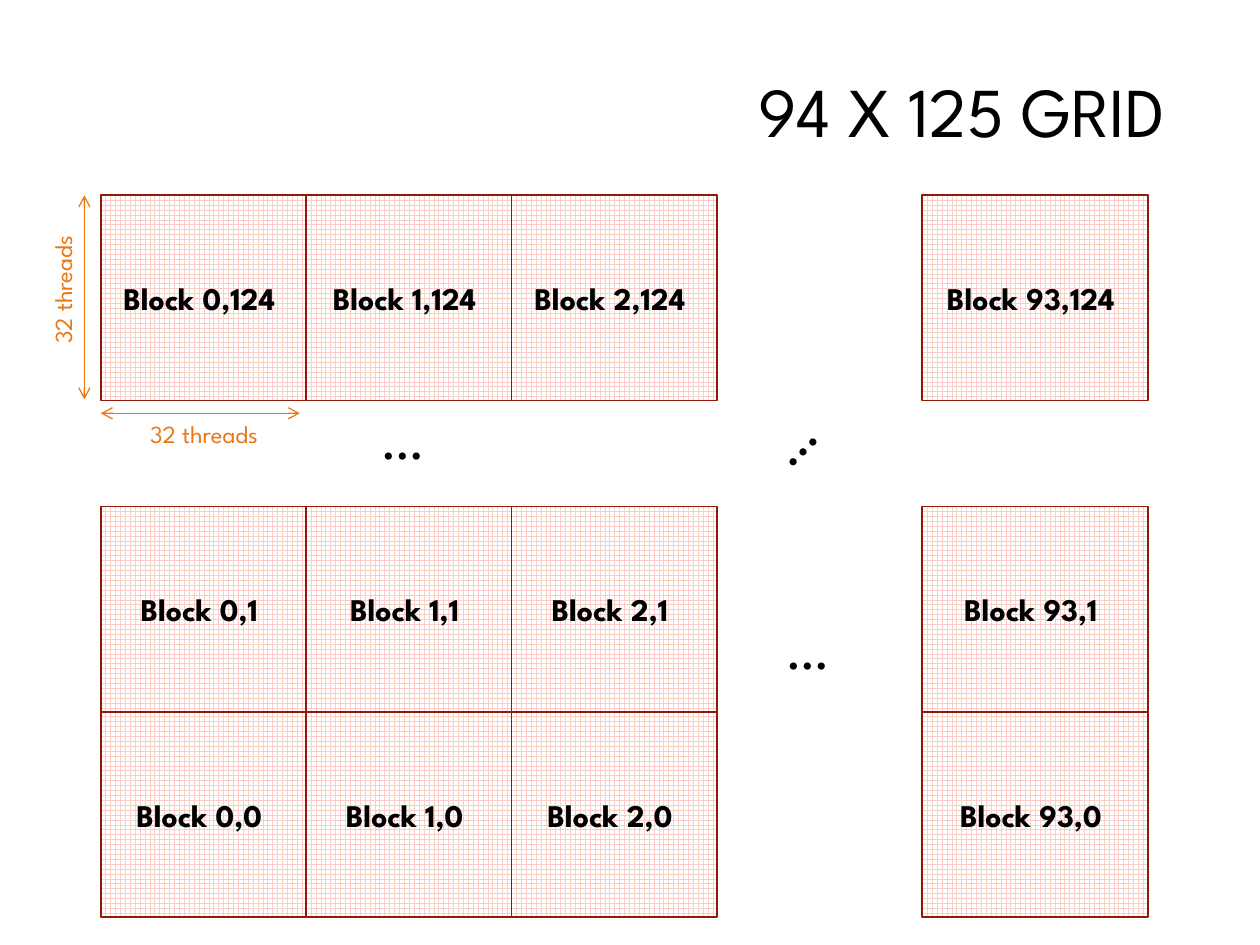
from lxml.etree import SubElement as Sub
from pptx import Presentation
from pptx.dml.color import RGBColor as Rgb
from pptx.enum.dml import MSO_PATTERN as Pat
from pptx.enum.shapes import MSO_CONNECTOR as Conn, MSO_SHAPE as Kind
from pptx.enum.text import MSO_ANCHOR as Anchor, PP_ALIGN as Align
from pptx.oxml.ns import qn
from pptx.util import Inches as In, Pt

INK = {"text": "000000", "mesh": "FBCDC7", "paper": "FFFFFF",
       "edge": "91190A", "mark": "EB7712"}
INK = {name: Rgb.from_string(code) for name, code in INK.items()}
FONT = "League Spartan"

deck = Presentation()
deck.slide_width, deck.slide_height = In(10), In(7.5)
slide = deck.slides.add_slide(deck.slide_layouts[6])
shapes = slide.shapes


def write(shape, text, size, ink="text", align=Align.CENTER, bold=False):
    frame = shape.text_frame
    frame.word_wrap = True
    para = frame.paragraphs[0]
    para.alignment = align
    run = para.add_run()
    run.text = text
    font = run.font
    font.name, font.size, font.bold = FONT, Pt(size), bold
    font.color.rgb = INK[ink]
    return frame


# Title
box = shapes.add_textbox(In(2.38), In(0.21), In(6.97), In(1.41))
frame = write(box, "94 X 125 GRID", 40, align=Align.RIGHT)
frame.vertical_anchor = Anchor.MIDDLE
frame.paragraphs[0].line_spacing = 0.9

# Blocks: columns 0 to 2, a gap of one column, then the wider last one
cell, left, top, low = 1.63, 0.8, 1.55, 5.65
cols = [(0, 0, cell), (1, 1, cell), (2, 2, cell), (93, 4, 1.79)]
rows = [(0, low), (1, low - cell), (124, top)]
for row, y in rows:
    for col, step, wide in cols:
        block = shapes.add_shape(Kind.RECTANGLE, In(left + step * cell), In(y),
                                 In(wide), In(cell))
        block.shadow.inherit = False
        block.fill.patterned()
        block.fill.pattern = Pat.LARGE_GRID
        block.fill.fore_color.rgb = INK["mesh"]
        block.fill.back_color.rgb = INK["paper"]
        block.line.color.rgb = INK["edge"]
        block.line.width = Pt(1)
        frame = write(block, f"Block {col},{row} ", 18, bold=True)
        frame.vertical_anchor = Anchor.MIDDLE

# Dots for the blocks left out
for x, y, turn in [(2.1, 3.15, 0), (5.31, 4.82, 0), (5.17, 3.16, 315)]:
    box = shapes.add_textbox(In(x), In(y), In(2.2), In(0.64))
    box.rotation = turn
    write(box, "…", 32)

# Block size: double arrows and their labels
for x, y, turn in [(-0.25, 2.13, 270), (0.87, 3.28, 0)]:
    box = shapes.add_textbox(In(x), In(y), In(1.5), In(0.34))
    box.rotation = turn
    write(box, "32 threads", 14, "mark")

for x1, y1, x2, y2 in [(0.67, top, 0.67, 3.17), (left, 3.28, 2.38, 3.28)]:
    arrow = shapes.add_connector(Conn.STRAIGHT, In(x1), In(y1), In(x2), In(y2))
    arrow.line.color.rgb = INK["mark"]
    arrow.line.width = Pt(0.75)
    for end in ("a:headEnd", "a:tailEnd"):
        Sub(arrow.line._get_or_add_ln(), qn(end), type="arrow")
    Sub(arrow._element.spPr, qn("a:effectLst"))

deck.save("out.pptx")
